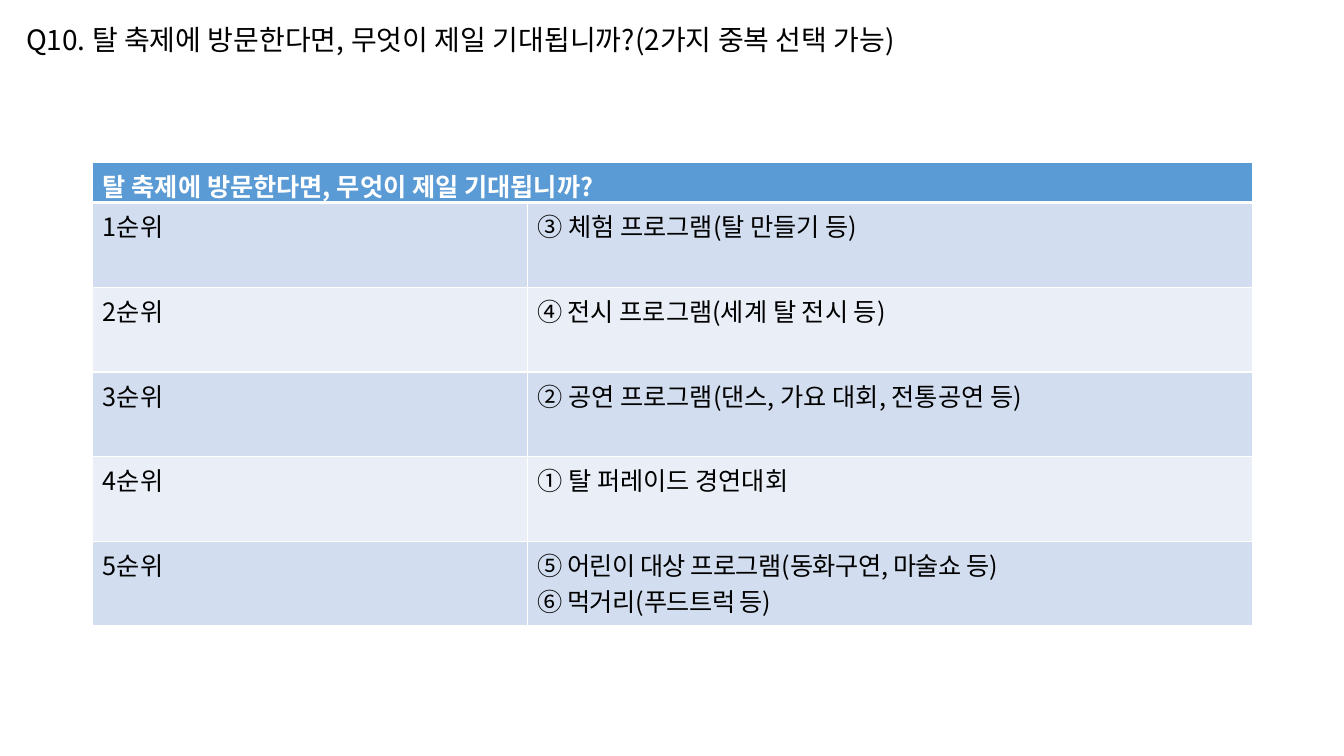
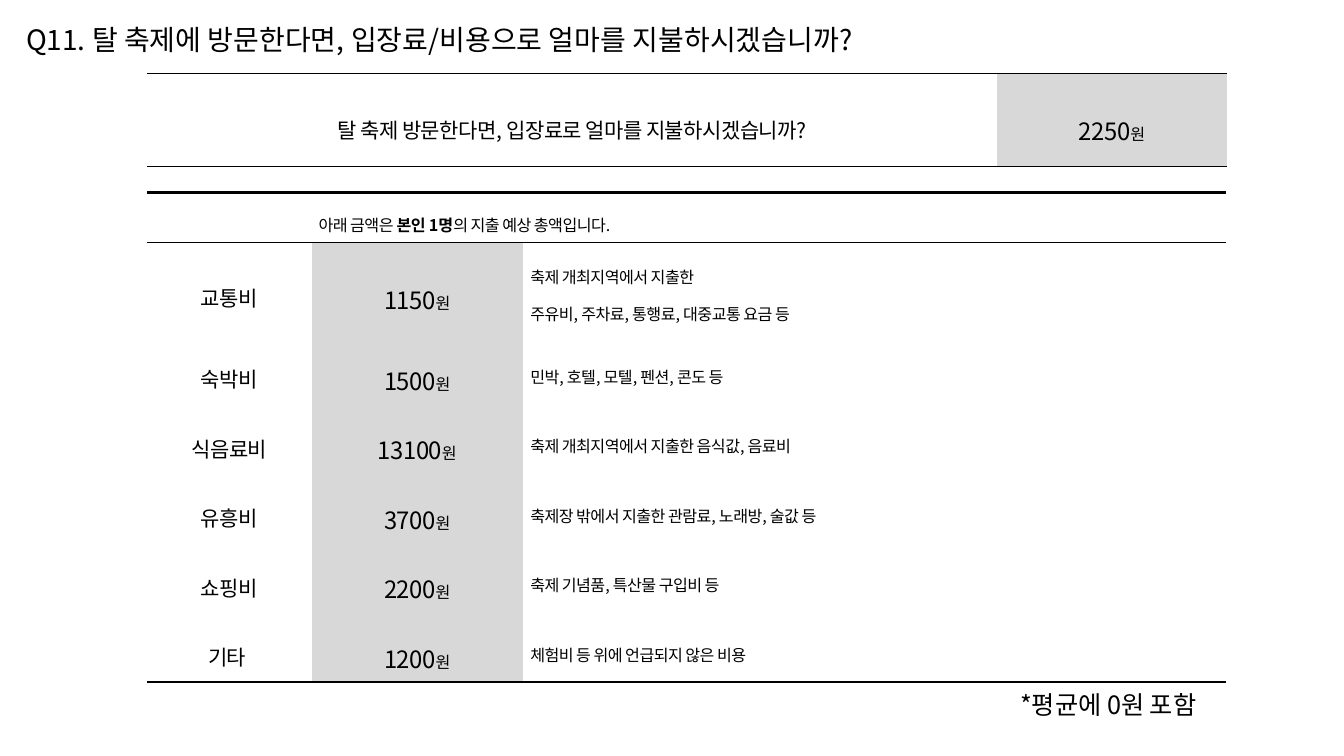
from dataclasses import dataclass, field
from typing import Any, Optional

import lxml.etree
import pptx
import pptx.dml.color
import pptx.enum.text
import pptx.oxml.ns
import pptx.util

Inches = pptx.util.Inches
Pt = pptx.util.Pt
RGBColor = pptx.dml.color.RGBColor
Align = pptx.enum.text.PP_ALIGN
Anchor = pptx.enum.text.MSO_ANCHOR
qn = pptx.oxml.ns.qn

FONT = "Noto Sans CJK KR"
BLACK = RGBColor(0x00, 0x00, 0x00)
WHITE = RGBColor(0xFF, 0xFF, 0xFF)
HEADER_BLUE = RGBColor(0x5B, 0x9B, 0xD5)
BAND_DARK = RGBColor(0xD2, 0xDE, 0xEF)
BAND_LIGHT = RGBColor(0xEA, 0xEF, 0xF7)
AMOUNT_GREY = RGBColor(0xD8, 0xD8, 0xD8)

TIGHT = -0.4
HAIRLINE = 0.28
HEAVY = 1.7
SURVEY_LEFT = 1.46


@dataclass(frozen=True)
class Span:
    text: str
    size: float = 18
    bold: bool = False
    color: RGBColor = BLACK
    spacing: float = 0


@dataclass(frozen=True)
class CellStyle:
    fill: Optional[RGBColor] = None
    align: Optional[Align] = None
    line_spacing: Optional[float] = None
    anchor: Anchor = Anchor.TOP
    margins: tuple[float, float] = (0.1, 0.05)
    border_color: RGBColor = BLACK
    borders: dict[str, float] = field(default_factory=dict)


@dataclass(frozen=True)
class Expense:
    name: str
    amount: str
    details: tuple[str, ...]


RANKING = [
    [[Span("③ 체험 프로그램(탈 만들기 등)")]],
    [[Span("④ ", spacing=TIGHT), Span("전시 프로그램(세계 탈 전시 등)")]],
    [[Span("② 공연 프로그램(댄스, 가요 대회, 전통공연 등)")]],
    [[Span("① 탈 퍼레이드 경연대회")]],
    [
        [Span("⑤ 어린이 대상 프로그램(동화구연, 마술쇼 등)", spacing=TIGHT)],
        [Span("⑥ 먹거리(푸드트럭 등)", spacing=TIGHT)],
    ],
]

EXPENSES = [
    Expense("교통비", "1150", ("축제 개최지역에서 지출한", "주유비, 주차료, 통행료, 대중교통 요금 등")),
    Expense("숙박비", "1500", ("민박, 호텔, 모텔, 펜션, 콘도 등",)),
    Expense("식음료비", "13100", ("축제 개최지역에서 지출한 음식값, 음료비",)),
    Expense("유흥비", "3700", ("축제장 밖에서 지출한 관람료, 노래방, 술값 등",)),
    Expense("쇼핑비", "2200", ("축제 기념품, 특산물 구입비 등",)),
    Expense("기타 ", "1200", ("체험비 등 위에 언급되지 않은 비용",)),
]


def write_paragraphs(frame: Any, paragraphs: list[list[Span]], align: Optional[Align] = None,
                     line_spacing: Optional[float] = None) -> None:
    for index, spans in enumerate(paragraphs):
        para = frame.paragraphs[0] if index == 0 else frame.add_paragraph()
        para.alignment = align
        para.line_spacing = line_spacing
        for span in spans:
            run = para.add_run()
            run.text = span.text
            run.font.size = Pt(span.size)
            run.font.bold = span.bold
            run.font.color.rgb = span.color
            run.font.name = FONT
            properties = run._r.get_or_add_rPr()
            properties.set("spc", str(round(span.spacing * 100)))
            east_asian = lxml.etree.Element(qn("a:ea"), typeface=FONT)
            properties.find(qn("a:latin")).addnext(east_asian)


def add_text(page: Any, text: str, left: float, top: float, width: float, height: float, *,
             size: float, line_spacing: Optional[float] = None) -> None:
    box = page.shapes.add_textbox(Inches(left), Inches(top), Inches(width), Inches(height))
    box.text_frame.word_wrap = True
    write_paragraphs(box.text_frame, [[Span(text, size)]], line_spacing=line_spacing)


def add_page(deck: Any, question: str) -> Any:
    page = deck.slides.add_slide(deck.slide_layouts[6])
    add_text(page, question, 0.16, 0.17, 9.76, 0.44, size=20)
    return page


def add_plain_table(page: Any, left: float, top: float, columns: list[float],
                    rows: list[float]) -> Any:
    frame = page.shapes.add_table(len(rows), len(columns), Inches(left), Inches(top),
                                  Inches(sum(columns)), Inches(sum(rows)))
    table = frame.table
    table.first_row = table.horz_banding = False
    for column, width in zip(table.columns, columns):
        column.width = Inches(width)
    for row, height in zip(table.rows, rows):
        row.height = Inches(height)
    return table


def set_borders(cell: Any, widths: dict[str, float], color: RGBColor) -> None:
    """Draw the edges named L, R, T or B and clear the others."""
    properties = cell._tc.get_or_add_tcPr()
    for index, edge in enumerate("LRTB"):
        line = lxml.etree.Element(qn(f"a:ln{edge}"))
        if edge in widths:
            line.set("w", str(int(Pt(widths[edge]))))
            fill = lxml.etree.SubElement(line, qn("a:solidFill"))
            lxml.etree.SubElement(fill, qn("a:srgbClr"), val=str(color))
        else:
            line.set("w", "0")
            lxml.etree.SubElement(line, qn("a:noFill"))
        properties.insert(index, line)


def fill_cell(cell: Any, paragraphs: list[list[Span]], style: CellStyle) -> None:
    if style.fill is None:
        cell.fill.background()
    else:
        cell.fill.solid()
        cell.fill.fore_color.rgb = style.fill
    side, end = style.margins
    cell.margin_left = cell.margin_right = Inches(side)
    cell.margin_top = cell.margin_bottom = Inches(end)
    cell.vertical_anchor = style.anchor
    write_paragraphs(cell.text_frame, paragraphs, style.align, style.line_spacing)
    set_borders(cell, style.borders, style.border_color)


def survey_style(borders: dict[str, float], align: Align = Align.CENTER,
                 fill: Optional[RGBColor] = None) -> CellStyle:
    return CellStyle(fill=fill, align=align, line_spacing=1.6, anchor=Anchor.MIDDLE,
                     margins=(0.07, 0.02), borders=borders)


def small(text: str, bold: bool = False) -> Span:
    return Span(text, 11.5, bold, spacing=TIGHT)


def label(text: str) -> list[list[Span]]:
    return [[Span(text, 15, spacing=TIGHT)]]


def amount(value: str) -> list[list[Span]]:
    return [[Span(value, 17, spacing=TIGHT), small("원")]]


def add_ranking_table(page: Any) -> None:
    table = add_plain_table(page, 0.92, 1.61, [4.31, 7.19], [0.33] + [0.84] * len(RANKING))
    grid = dict.fromkeys("LRTB", 1.0)
    header = CellStyle(fill=HEADER_BLUE, border_color=WHITE, borders=grid | {"B": 3})
    table.cell(0, 0).merge(table.cell(0, 1))
    title = Span("탈 축제에 방문한다면, 무엇이 제일 기대됩니까?", bold=True, color=WHITE)
    fill_cell(table.cell(0, 0), [[title]], header)
    fill_cell(table.cell(0, 1), [], header)
    for rank, answer in enumerate(RANKING, start=1):
        style = CellStyle(fill=BAND_DARK if rank % 2 else BAND_LIGHT, border_color=WHITE,
                          borders=grid | ({"T": 3} if rank == 1 else {}))
        fill_cell(table.cell(rank, 0), [[Span(f"{rank}순위")]], style)
        fill_cell(table.cell(rank, 1), answer, style)


def add_admission_table(page: Any) -> None:
    table = add_plain_table(page, SURVEY_LEFT, 0.73, [8.43, 2.28], [0.92])
    borders = {"T": 1.0, "B": 1.0}
    fill_cell(table.cell(0, 0), label("탈 축제 방문한다면, 입장료로 얼마를 지불하시겠습니까?"),
              survey_style(borders))
    fill_cell(table.cell(0, 1), amount("2250"), survey_style(borders, fill=AMOUNT_GREY))


def add_expense_table(page: Any) -> None:
    table = add_plain_table(page, SURVEY_LEFT, 1.91, [1.63, 2.1, 6.97],
                            [0.49, 0.92] + [0.69] * (len(EXPENSES) - 1))
    header = survey_style({"T": HEAVY, "B": HAIRLINE}, Align.JUSTIFY)
    notice = [[small("아래 금액은 "), small("본인 1명", bold=True), small("의 지출 예상 총액입니다. ")]]
    table.cell(0, 1).merge(table.cell(0, 2))
    for column, paragraphs in enumerate([[], notice, []]):
        fill_cell(table.cell(0, column), paragraphs, header)
    for row, expense in enumerate(EXPENSES, start=1):
        borders = {}
        if row == 1:
            borders["T"] = HAIRLINE
        if row == len(EXPENSES):
            borders["B"] = HEAVY
        fill_cell(table.cell(row, 0), label(expense.name), survey_style(borders))
        fill_cell(table.cell(row, 1), amount(expense.amount),
                  survey_style(borders, fill=AMOUNT_GREY))
        fill_cell(table.cell(row, 2), [[small(detail)] for detail in expense.details],
                  survey_style(borders, Align.JUSTIFY))


def main() -> None:
    deck = pptx.Presentation()
    deck.slide_width = Inches(13.33)
    deck.slide_height = Inches(7.5)

    page = add_page(deck, "Q10. 탈 축제에 방문한다면, 무엇이 제일 기대됩니까?(2가지 중복 선택 가능)")
    add_ranking_table(page)

    page = add_page(deck, "Q11. 탈 축제에 방문한다면, 입장료/비용으로 얼마를 지불하시겠습니까?")
    add_expense_table(page)
    add_admission_table(page)
    add_text(page, "*평균에 0원 포함", 10.02, 6.84, 2.14, 0.4, size=18, line_spacing=0.83)

    deck.save("out.pptx")


if __name__ == "__main__":
    main()
